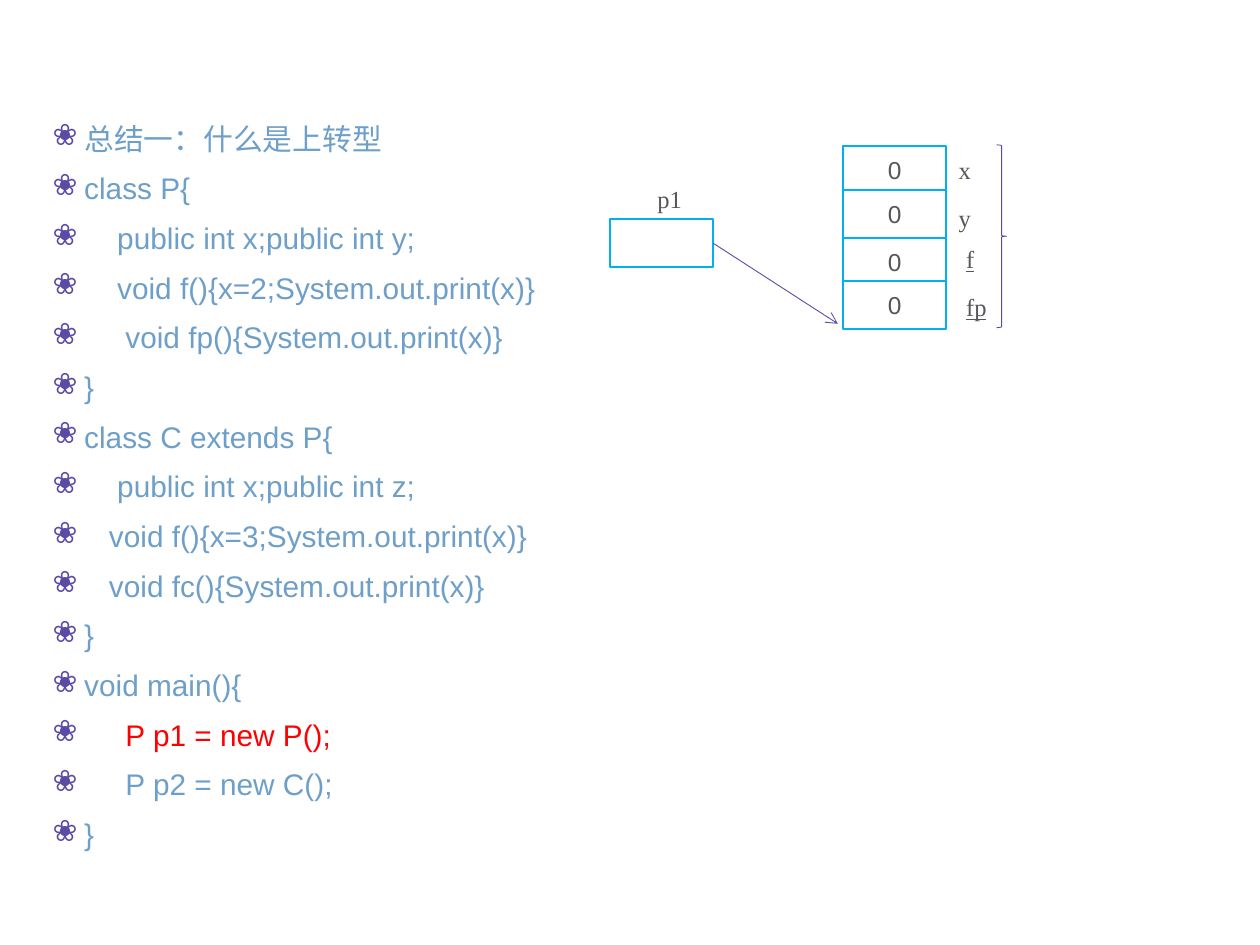
import pptx
import pptx.dml.color
import pptx.enum.shapes
import pptx.enum.text
import pptx.oxml.ns
import pptx.util
from lxml import etree

Inches = pptx.util.Inches
Pt = pptx.util.Pt
SHAPE = pptx.enum.shapes.MSO_SHAPE
ALIGN = pptx.enum.text.PP_ALIGN
ANCHOR = pptx.enum.text.MSO_ANCHOR
COLORS = {
    "code": "6E9FC8", "red": "FF0000", "purple": "594CA6",
    "cyan": "00B0F0", "gray": "55575A", "white": "FFFFFF",
}
CODE = [
    "总结一：什么是上转型",
    "class P{",
    "    public int x;public int y;",
    "    void f(){x=2;System.out.print(x)}",
    "     void fp(){System.out.print(x)}",
    "}",
    "class C extends P{",
    "    public int x;public int z;",
    "   void f(){x=3;System.out.print(x)}",
    "   void fc(){System.out.print(x)}",
    "}",
    "void main(){",
    "     P p1 = new P();",
    "     P p2 = new C();",
    "}",
]
CURRENT = 12
MEMBERS = [
    ("x", 0, 0.82, 0.02, False),
    ("y", 0.35, 0.82, 0.4, False),
    ("f", 0.73, 0.88, 0.73, True),
    ("fp", 1.07, 0.88, 1.11, True),
]
CELL_W, CELL_H = 0.82, 0.38


def rgb(name):
    """Return the named colour."""
    return pptx.dml.color.RGBColor.from_string(COLORS[name])


def add_run(p, text, size=14, font="Times New Roman", color="gray", underline=None):
    """Add formatted text to a paragraph."""
    r = p.add_run()
    r.text = text
    r.font.size = Pt(size)
    r.font.name = font
    r.font.underline = underline
    r.font.color.rgb = rgb(color)


def add_bullet(p, char, color, indent):
    """Give a paragraph a coloured hanging bullet."""
    pPr = p._p.get_or_add_pPr()
    pPr.set("marL", str(Inches(indent)))
    pPr.set("indent", str(Inches(-indent)))
    qn = pptx.oxml.ns.qn
    buClr = etree.SubElement(pPr, qn("a:buClr"))
    etree.SubElement(buClr, qn("a:srgbClr"), val=COLORS[color])
    etree.SubElement(pPr, qn("a:buChar"), char=char)


def add_code(s, x, y, w, h):
    """Place the bulleted code listing."""
    tf = s.shapes.add_textbox(Inches(x), Inches(y), Inches(w), Inches(h)).text_frame
    tf.word_wrap = True
    for i, line in enumerate(CODE):
        p = tf.add_paragraph() if i else tf.paragraphs[0]
        add_bullet(p, "❀", "purple", 0.25)
        p.line_spacing = 0.9
        p.space_before = Pt(10 if i else 0)
        add_run(p, line, size=17, font="Arial", color="red" if i == CURRENT else "code")


def add_label(s, x, y, text, underline=None):
    """Place a variable name."""
    tf = s.shapes.add_textbox(Inches(x), Inches(y), Inches(0.53), Inches(0.34)).text_frame
    tf.word_wrap = True
    add_run(tf.paragraphs[0], text, underline=underline)


def add_cell(s, x, y, text=""):
    """Place one memory cell and return it."""
    sp = s.shapes.add_shape(SHAPE.RECTANGLE, Inches(x), Inches(y), Inches(CELL_W), Inches(CELL_H))
    sp.shadow.inherit = False
    sp.fill.solid()
    sp.fill.fore_color.rgb = rgb("white")
    sp.line.color.rgb = rgb("cyan")
    sp.line.width = Pt(1)
    if text:
        tf = sp.text_frame
        tf.vertical_anchor = ANCHOR.MIDDLE
        tf.paragraphs[0].alignment = ALIGN.CENTER
        add_run(tf.paragraphs[0], text, font="Arial")
    return sp


def add_reference(s, x, y):
    """Place the named reference and return its cell."""
    add_label(s, x + 0.28, y, "p1")
    return add_cell(s, x, y + 0.33)


def add_object(s, x, y):
    """Place the object's member cells, their names and the brace."""
    for name, cell_y, label_x, label_y, underline in MEMBERS:
        add_cell(s, x, y + cell_y, "0")
        add_label(s, x + label_x, y + label_y, name, underline=underline or None)
    brace = s.shapes.add_shape(
        SHAPE.RIGHT_BRACE, Inches(x + 1.22), Inches(y - 0.01), Inches(0.08), Inches(1.45))
    brace.shadow.inherit = False
    brace.fill.background()
    brace.line.color.rgb = rgb("purple")
    brace.line.width = Pt(0.5)


def add_arrow(s, source, x, y):
    """Point from the right side of a cell to a place."""
    cn = s.shapes.add_connector(
        pptx.enum.shapes.MSO_CONNECTOR.STRAIGHT, 0, 0, Inches(x), Inches(y))
    cn.begin_connect(source, 3)
    cn.line.color.rgb = rgb("purple")
    cn.line.width = Pt(0.5)
    qn = pptx.oxml.ns.qn
    etree.SubElement(cn.line._get_or_add_ln(), qn("a:tailEnd"), type="arrow")
    etree.SubElement(cn._element.spPr, qn("a:effectLst"))


def main():
    """Build the slide."""
    prs = pptx.Presentation()
    prs.slide_width, prs.slide_height = Inches(10), Inches(7.5)
    s = prs.slides.add_slide(prs.slide_layouts[6])
    add_code(s, 0.32, 0.94, 4.51, 5.93)
    reference = add_reference(s, 4.84, 1.41)
    add_object(s, 6.69, 1.16)
    add_arrow(s, reference, 6.65, 2.57)
    prs.save("out.pptx")


if __name__ == "__main__":
    main()
